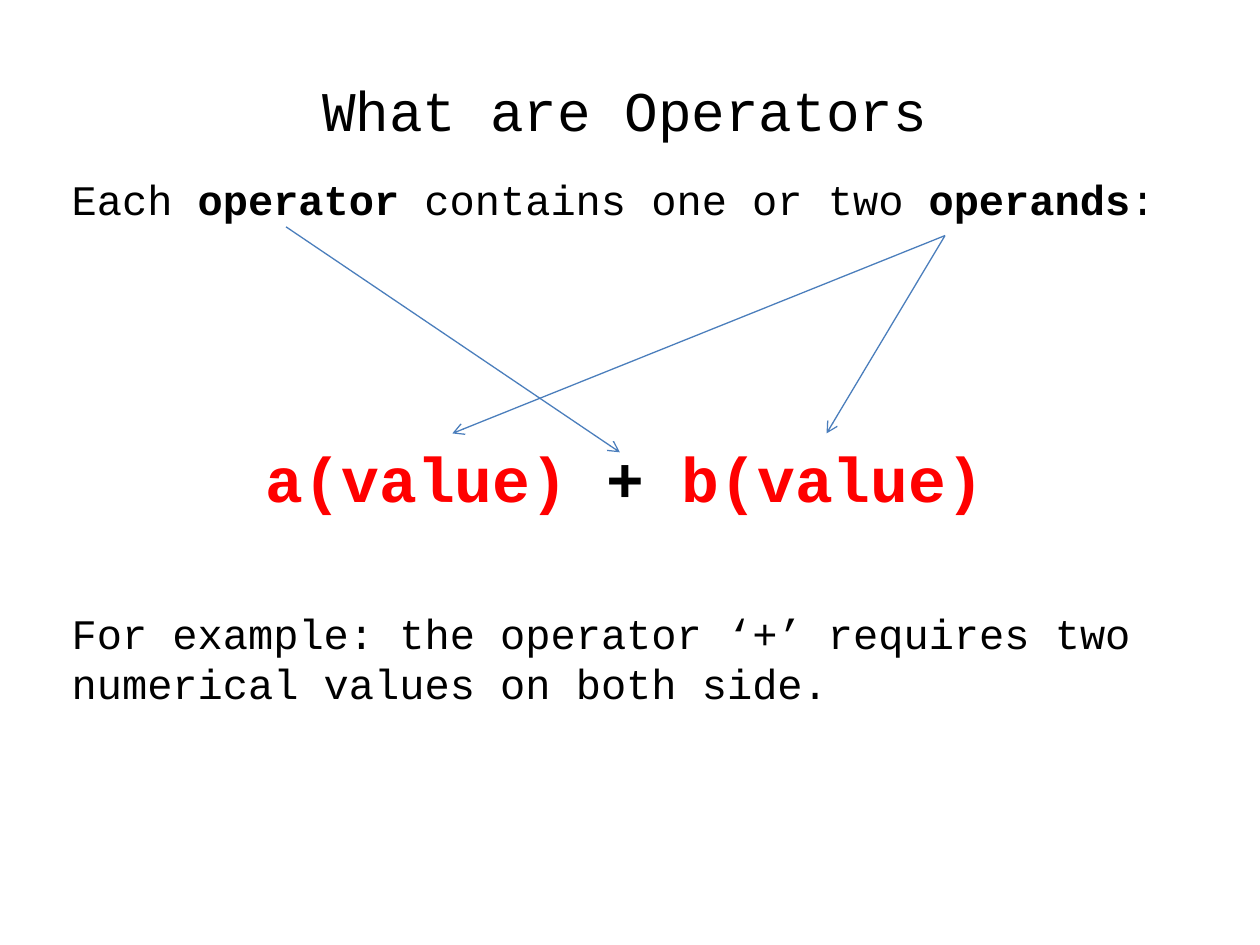
from lxml import etree
from pptx import Presentation
from pptx.dml.color import RGBColor
from pptx.enum import shapes, text
from pptx.oxml import ns
from pptx.util import Inches, Pt

HUES = {"ink": "000000", "value": "FF0000", "arrow": "4B7EBC"}
FONT = "Courier New"
LEFT, WIDTH = 0.47, 8.98

deck = Presentation()
deck.slide_width, deck.slide_height = Inches(10), Inches(7.5)
slide = deck.slides.add_slide(deck.slide_layouts[5])


def write(runs, top, height, size=24, align=text.PP_ALIGN.LEFT, box=None):
    """Write (words, bold, hue) runs as one paragraph."""
    place = [Inches(n) for n in (LEFT, top, WIDTH, height)]
    if box is None:
        box = slide.shapes.add_textbox(*place)
    else:
        box.left, box.top, box.width, box.height = place
    frame = box.text_frame
    frame.word_wrap = True
    frame.auto_size = text.MSO_AUTO_SIZE.NONE
    frame.vertical_anchor = text.MSO_ANCHOR.TOP
    para = frame.paragraphs[0]
    para.alignment = align
    for words, bold, hue in runs:
        run = para.add_run()
        run.text = words
        run.font.name, run.font.size, run.font.bold = FONT, Pt(size), bold
        run.font.color.rgb = RGBColor.from_string(HUES[hue])


# Title
mid = text.PP_ALIGN.CENTER
write([("What are Operators", False, "ink")], 0.55, 0.64,
      size=32, align=mid, box=slide.shapes.title)

# Definition, with its key terms in bold
write([("Each ", False, "ink"), ("operator", True, "ink"),
       (" contains one or two ", False, "ink"),
       ("operands", True, "ink"), (":", False, "ink")], 1.33, 0.5)

# Expression
write([("a(value) ", True, "value"), ("+ ", True, "ink"),
       ("b(value)", True, "value")], 3.44, 0.71, size=36, align=mid)

# Arrows from each term to its part of the expression
term = (7.5, 1.87)
for start, end in [(term, (3.59, 3.44)), (term, (6.56, 3.44)),
                   ((2.27, 1.8), (4.92, 3.59))]:
    ends = [Inches(n) for n in start + end]
    arrow = slide.shapes.add_connector(shapes.MSO_CONNECTOR.STRAIGHT, *ends)
    arrow.line.color.rgb = RGBColor.from_string(HUES["arrow"])
    arrow.line.width = Pt(0.75)
    etree.SubElement(arrow.line._get_or_add_ln(), ns.qn("a:tailEnd"), type="arrow")
    etree.SubElement(arrow._element.spPr, ns.qn("a:effectLst"))

# Example
write([("For example: the operator ‘+’ requires two numerical values "
        "on both side.", False, "ink")], 4.77, 0.91)

deck.save("out.pptx")
